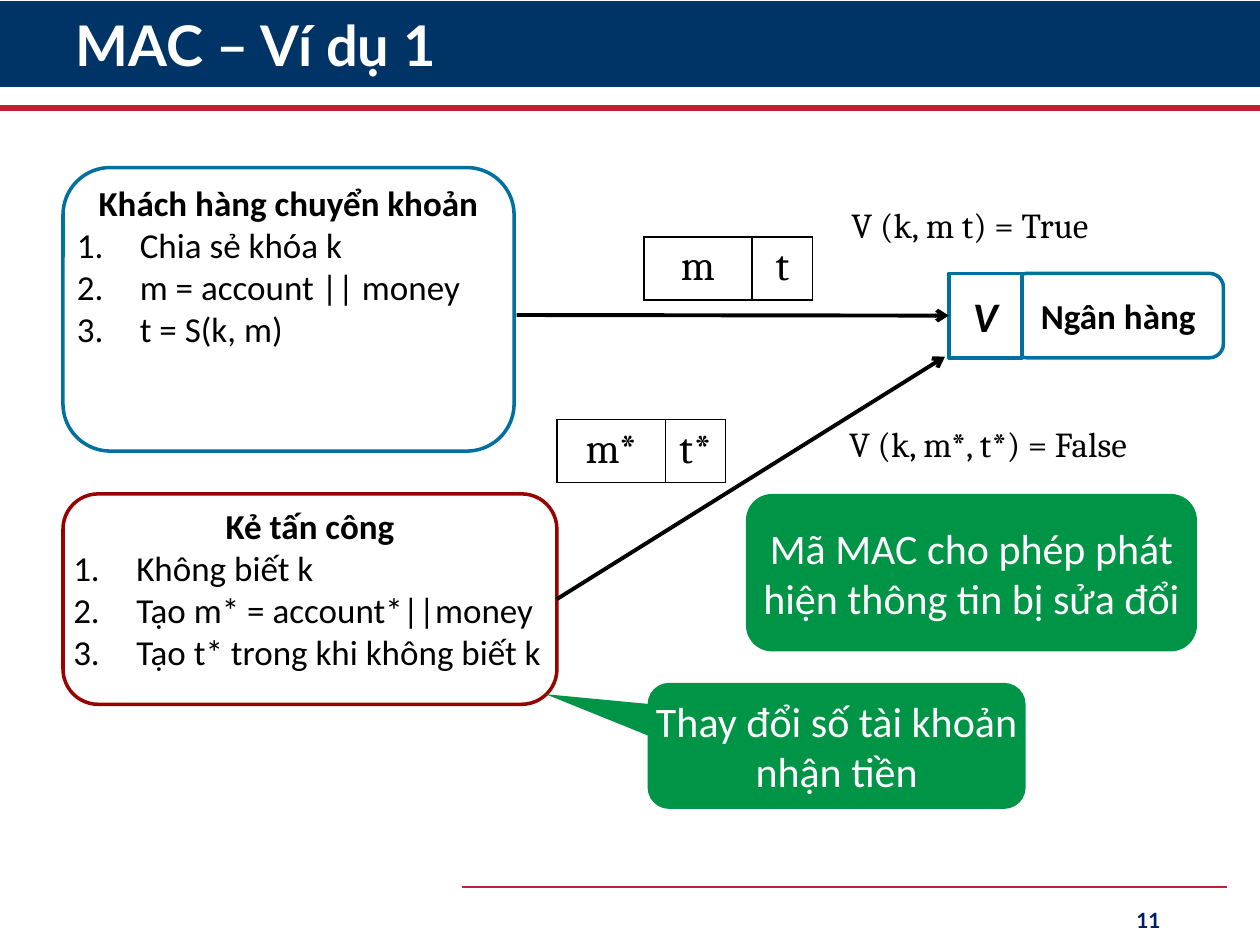
from lxml.etree import SubElement
from pptx import Presentation
from pptx.dml.color import RGBColor
from pptx.enum.shapes import MSO_CONNECTOR, MSO_SHAPE
from pptx.enum.text import MSO_ANCHOR as ANCHOR, PP_ALIGN as ALIGN
from pptx.oxml.ns import qn
from pptx.util import Inches, Pt

COLORS = {
    "navy": "003366", "number": "002060", "red": "C02034", "blue": "00709E",
    "maroon": "990000", "green": "009446", "white": "FFFFFF", "black": "000000",
}
RIGHT_SIDE, LEFT_SIDE = 3, 1


def rgb(name):
    return RGBColor.from_string(COLORS[name])


def inches(*lengths):
    return [Inches(length) for length in lengths]


def add_run(paragraph, text, size, color="black", font="Calibri", bold=False, italic=False):
    run = paragraph.add_run()
    run.text = text
    run.font.size = Pt(size)
    run.font.name = font
    run.font.bold = bold
    run.font.italic = italic
    run.font.color.rgb = rgb(color)


def add_box(slide, geometry, at, fill="white", line=None):
    box = slide.shapes.add_shape(geometry, *inches(*at))
    box.shadow.inherit = False
    box.fill.solid()
    box.fill.fore_color.rgb = rgb(fill)
    if line:
        box.line.color.rgb = rgb(line)
        box.line.width = Pt(2)
    else:
        box.line.fill.background()
    frame = box.text_frame
    frame.word_wrap = True
    frame.margin_left = frame.margin_right = 0
    frame.margin_top = frame.margin_bottom = 0
    return box


def add_label_box(slide, geometry, at, text, size, fill="white", line=None, **style):
    box = add_box(slide, geometry, at, fill, line)
    box.text_frame.vertical_anchor = ANCHOR.MIDDLE
    paragraph = box.text_frame.paragraphs[0]
    paragraph.alignment = ALIGN.CENTER
    add_run(paragraph, text, size, **style)
    return box


def add_party(slide, at, line, heading, steps):
    """Rounded box with a bold heading above numbered steps."""
    party = add_box(slide, MSO_SHAPE.ROUNDED_RECTANGLE, at, line=line)
    frame = party.text_frame
    frame.vertical_anchor = ANCHOR.TOP
    frame.paragraphs[0].alignment = ALIGN.CENTER
    add_run(frame.paragraphs[0], heading, 20, bold=True)
    for step in steps:
        paragraph = frame.add_paragraph()
        paragraph.alignment = ALIGN.LEFT
        properties = paragraph._p.get_or_add_pPr()
        properties.set("marL", str(Inches(0.5)))
        properties.set("indent", str(-Inches(0.5)))
        SubElement(properties, qn("a:buFont"), typeface="+mj-lt")
        SubElement(properties, qn("a:buAutoNum"), type="arabicPeriod")
        add_run(paragraph, step, 20)
    return party


def add_line(slide, start, end, color, width, arrow=False):
    line = slide.shapes.add_connector(MSO_CONNECTOR.STRAIGHT, *inches(*start, *end))
    line.line.color.rgb = rgb(color)
    line.line.width = Pt(width)
    if arrow:
        SubElement(line.line._get_or_add_ln(), qn("a:tailEnd"), type="arrow")
    SubElement(line._element.spPr, qn("a:effectLst"))
    return line


def add_border(cell):
    properties = cell._tc.get_or_add_tcPr()
    for position, side in enumerate(("lnL", "lnR", "lnT", "lnB")):
        edge = SubElement(properties, qn(f"a:{side}"), w=str(Pt(1)))
        fill = SubElement(edge, qn("a:solidFill"))
        SubElement(fill, qn("a:srgbClr"), val=COLORS["black"])
        properties.remove(edge)
        properties.insert(position, edge)


def add_packet(slide, left, top, fields):
    """One-row table: the message and its tag."""
    widths = (0.86, 0.48)
    height = 0.48
    table = slide.shapes.add_table(
        1, len(fields), *inches(left, top, sum(widths), height)).table
    table.first_row = table.horz_banding = False
    for column, (width, field) in enumerate(zip(widths, fields)):
        table.columns[column].width = Inches(width)
        cell = table.cell(0, column)
        cell.fill.background()
        add_border(cell)
        paragraph = cell.text_frame.paragraphs[0]
        paragraph.alignment = ALIGN.CENTER
        add_run(paragraph, field, 24, font="Cambria")


def add_text(slide, at, text, size, align=ALIGN.LEFT, wrap=False, **style):
    frame = slide.shapes.add_textbox(*inches(*at)).text_frame
    frame.word_wrap = wrap
    frame.vertical_anchor = ANCHOR.MIDDLE
    frame.paragraphs[0].alignment = align
    add_run(frame.paragraphs[0], text, size, **style)


def set_title(slide, text):
    title = slide.shapes.title
    title.left, title.top, title.width, title.height = inches(0.5, 0.08, 8.81, 0.61)
    title.text_frame.vertical_anchor = ANCHOR.MIDDLE
    paragraph = title.text_frame.paragraphs[0]
    paragraph.alignment = ALIGN.LEFT
    paragraph.line_spacing = 0.9
    add_run(paragraph, text, 32, "white", "Lato", bold=True)


def add_frame(slide):
    """Title band, rules and slide number."""
    band = add_box(slide, MSO_SHAPE.RECTANGLE, (0, 0.01, 10, 0.68), "navy")
    slide.shapes._spTree.insert(2, band._element)  # behind the title
    add_line(slide, (0, 0.86), (10, 0.86), "red", 3.5)
    add_line(slide, (3.67, 7.04), (9.74, 7.04), "red", 1.5)
    add_text(slide, (7.06, 7.1, 2.25, 0.4), "11", 12, ALIGN.RIGHT, True,
             color="number", font="Lato", bold=True)


def main():
    presentation = Presentation()
    presentation.slide_width, presentation.slide_height = inches(10, 7.5)
    slide = presentation.slides.add_slide(presentation.slide_layouts[5])
    set_title(slide, "MAC – Ví dụ 1")
    add_frame(slide)

    add_party(slide, (0.5, 1.33, 3.58, 2.25), "blue", "Khách hàng chuyển khoản",
              ["Chia sẻ khóa k", "m = account || money", "t = S(k, m)"])
    attacker = add_party(
        slide, (0.5, 3.92, 3.92, 1.67), "maroon", "Kẻ tấn công",
        ["Không biết k", "Tạo m* = account*||money", "Tạo t* trong khi không biết k"])

    callout = add_label_box(
        slide, MSO_SHAPE.ROUNDED_RECTANGULAR_CALLOUT, (5.14, 5.42, 3, 1),
        "Thay đổi số tài khoản nhận tiền", 24, "green", color="white")
    for index, value in enumerate((-0.77, -0.41, 0.17)):
        callout.adjustments[index] = value
    add_label_box(slide, MSO_SHAPE.ROUNDED_RECTANGLE, (5.92, 3.92, 3.58, 1.25),
                  "Mã MAC cho phép phát hiện thông tin bị sửa đổi", 24, "green",
                  color="white")

    add_label_box(slide, MSO_SHAPE.ROUNDED_RECTANGLE, (8.04, 2.17, 1.67, 0.67),
                  "Ngân hàng", 20, line="blue", bold=True)
    verifier = add_label_box(slide, MSO_SHAPE.RECTANGLE, (7.53, 2.17, 0.58, 0.67),
                             "V", 24, line="blue", bold=True, italic=True)

    transfer = add_line(slide, (4.1, 2.5), (7.5, 2.5), "black", 2.25, arrow=True)
    transfer.end_connect(verifier, LEFT_SIDE)
    forgery = add_line(slide, (4.42, 4.75), (7.5, 2.83), "black", 2.25, arrow=True)
    forgery.begin_connect(attacker, RIGHT_SIDE)

    add_packet(slide, 5.11, 1.88, ("m", "t"))
    add_packet(slide, 4.42, 3.33, ("m*", "t*"))
    add_text(slide, (6.64, 3.3, 2.55, 0.44), "V (k, m*, t*) = False", 20, font="Cambria")
    add_text(slide, (6.66, 1.56, 2.26, 0.44), "V (k, m t) = True", 20, font="Cambria")

    presentation.save("out.pptx")


if __name__ == "__main__":
    main()
